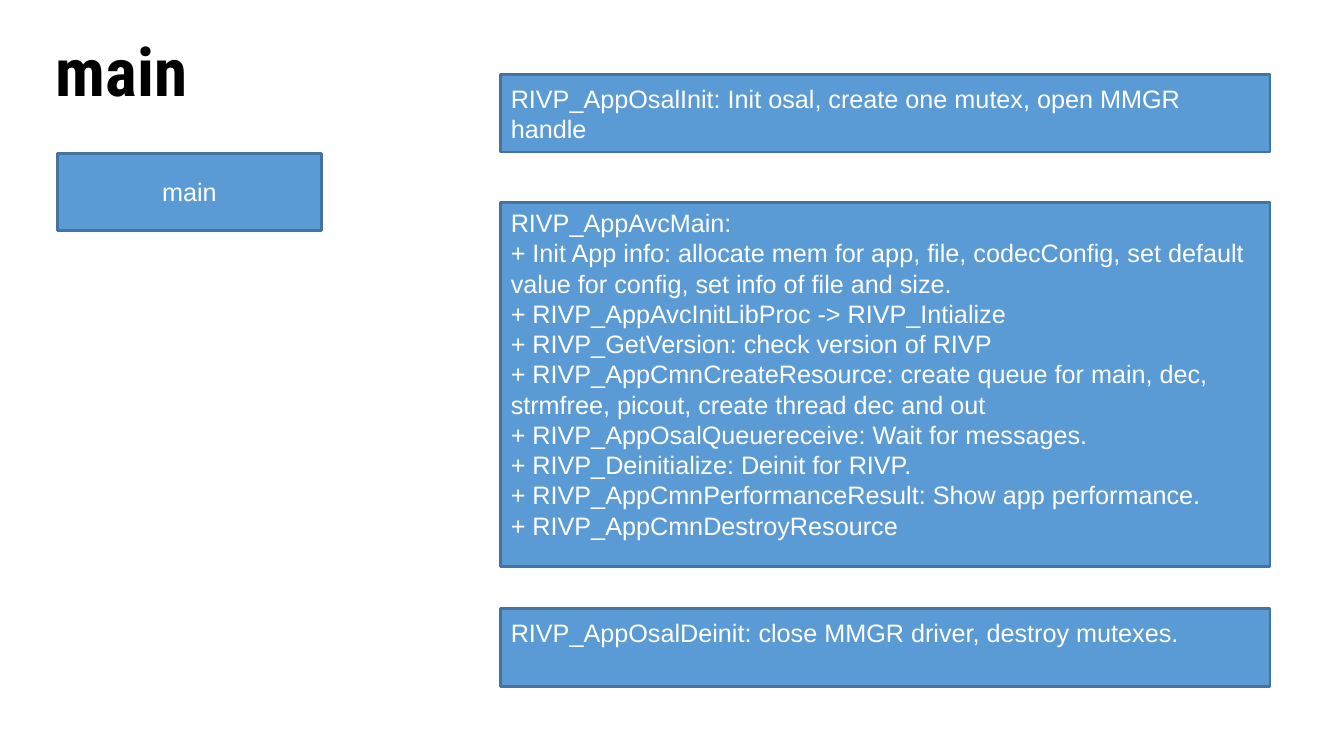
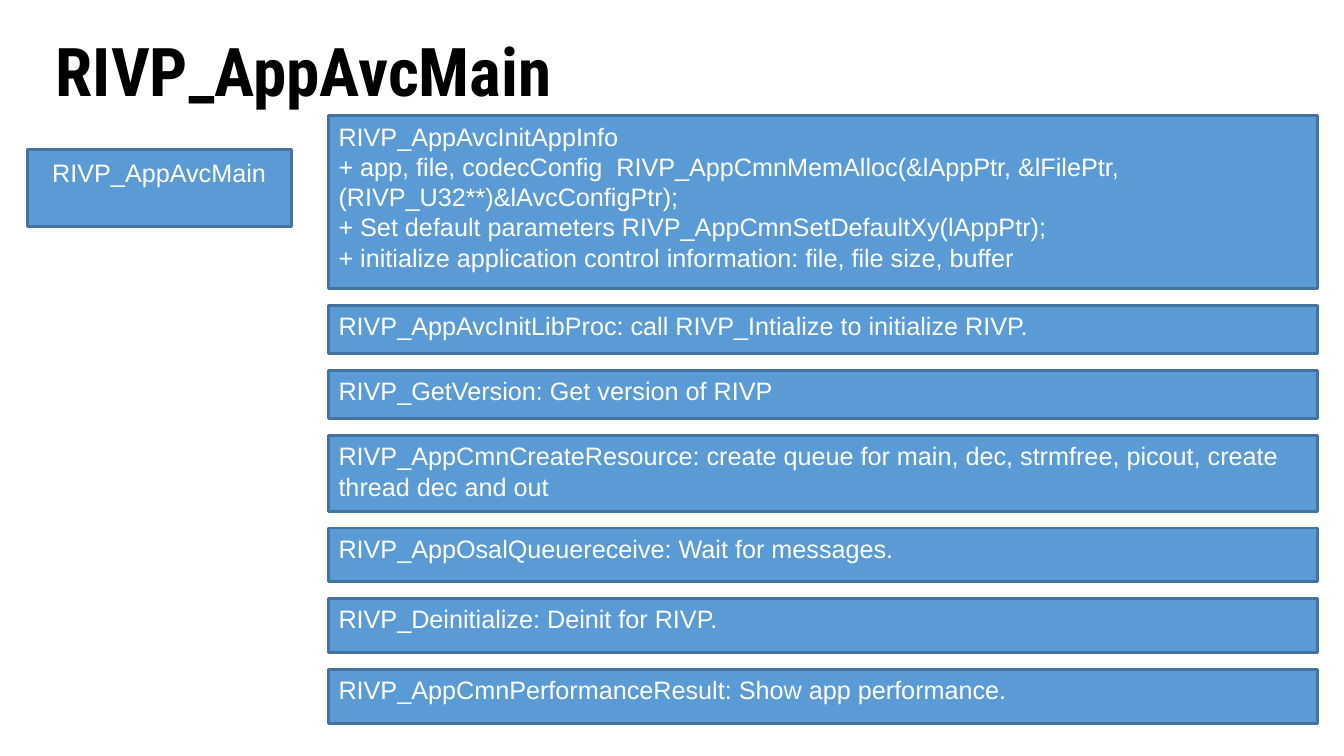
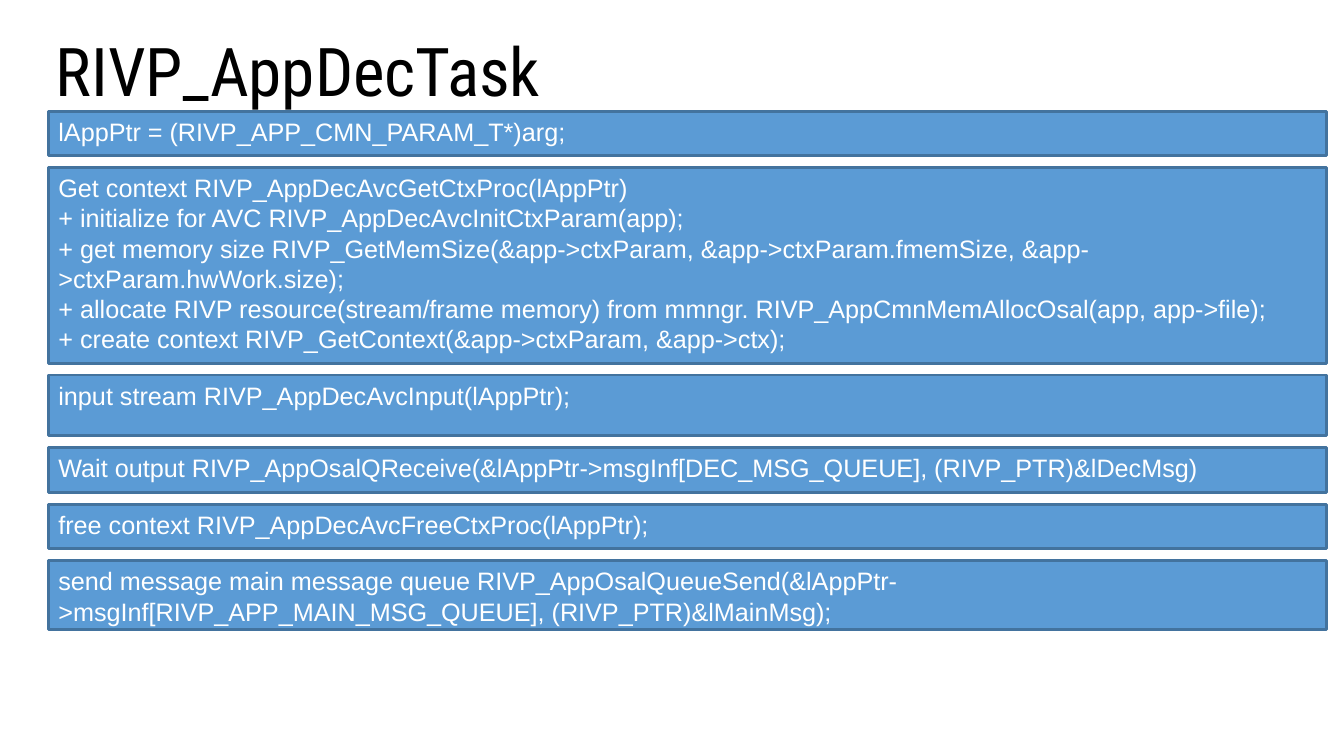
from pptx import Presentation
from pptx.dml.color import RGBColor
from pptx.enum.shapes import MSO_SHAPE
from pptx.enum.text import MSO_ANCHOR, MSO_AUTO_SIZE, PP_ALIGN
from pptx.util import Pt

BLACK = RGBColor(0x00, 0x00, 0x00)
WHITE = RGBColor(0xFF, 0xFF, 0xFF)
STEP_BLUE = RGBColor(0x5B, 0x9B, 0xD5)
EDGE_BLUE = RGBColor(0x43, 0x73, 0x9E)
TITLE_FONT = "Roboto Condensed"
STEP_FONT = "Arial"
TITLE_ONLY = 5
CALLER_WIDTH = 188.6
CALL_HEIGHT = 55.4
TWO_LINE_INSET = 6

AVC_MAIN_CALLS = [
    "RIVP_AppAvcMain:",
    "+ Init App info: allocate mem for app, file, codecConfig, set default "
    "value for config, set info of file and size.",
    "+ RIVP_AppAvcInitLibProc -> RIVP_Intialize",
    "+ RIVP_GetVersion: check version of RIVP",
    "+ RIVP_AppCmnCreateResource: create queue for main, dec, strmfree, "
    "picout, create thread dec and out",
    "+ RIVP_AppOsalQueuereceive: Wait for messages.",
    "+ RIVP_Deinitialize: Deinit for RIVP.",
    "+ RIVP_AppCmnPerformanceResult: Show app performance.",
    "+ RIVP_AppCmnDestroyResource",
]

AVC_MAIN_STEPS = [
    (123.2, [
        "RIVP_AppAvcInitAppInfo",
        "+ app, file, codecConfig  RIVP_AppCmnMemAlloc(&lAppPtr, &lFilePtr, "
        "(RIVP_U32**)&lAvcConfigPtr);",
        "+ Set default parameters RIVP_AppCmnSetDefaultXy(lAppPtr);",
        "+ initialize application control information: file, file size, buffer",
    ]),
    (34.6, ["RIVP_AppAvcInitLibProc: call RIVP_Intialize to initialize RIVP."]),
    (34.6, ["RIVP_GetVersion: Get version of RIVP"]),
    (54, ["RIVP_AppCmnCreateResource: create queue for main, dec, strmfree, "
          "picout, create thread dec and out"]),
    (38.5, ["RIVP_AppOsalQueuereceive: Wait for messages."]),
    (38.5, ["RIVP_Deinitialize: Deinit for RIVP."]),
    (38.5, ["RIVP_AppCmnPerformanceResult: Show app performance."]),
]

DEC_TASK_STEPS = [
    (31.5, ["lAppPtr = (RIVP_APP_CMN_PARAM_T*)arg;"]),
    (139.8, [
        "Get context RIVP_AppDecAvcGetCtxProc(lAppPtr)",
        "+ initialize for AVC RIVP_AppDecAvcInitCtxParam(app);",
        "+ get memory size RIVP_GetMemSize(&app->ctxParam, "
        "&app->ctxParam.fmemSize, &app->ctxParam.hwWork.size);",
        "+ allocate RIVP resource(stream/frame memory) from mmngr. "
        "RIVP_AppCmnMemAllocOsal(app, app->file);",
        "+ create context RIVP_GetContext(&app->ctxParam, &app->ctx);",
    ]),
    (43.2, ["input stream RIVP_AppDecAvcInput(lAppPtr);"]),
    (32.4, ["Wait output RIVP_AppOsalQReceive(&lAppPtr->msgInf[DEC_MSG_QUEUE], "
            "(RIVP_PTR)&lDecMsg)"]),
    (31.8, ["free context RIVP_AppDecAvcFreeCtxProc(lAppPtr);"]),
    (49, ["send message main message queue RIVP_AppOsalQueueSend(&lAppPtr->"
          "msgInf[RIVP_APP_MAIN_MSG_QUEUE], (RIVP_PTR)&lMainMsg);"]),
]


def write_text(frame, lines, font=STEP_FONT, size=18, color=WHITE, bold=False,
               align=PP_ALIGN.LEFT, anchor=MSO_ANCHOR.TOP, spacing=1.0,
               side_inset=7.2, top_inset=3.6):
    frame.word_wrap = True
    frame.auto_size = MSO_AUTO_SIZE.NONE
    frame.vertical_anchor = anchor
    frame.margin_left = frame.margin_right = Pt(side_inset)
    frame.margin_top = Pt(top_inset)
    frame.margin_bottom = Pt(3.6)
    for index, line in enumerate(lines):
        paragraph = frame.add_paragraph() if index else frame.paragraphs[0]
        paragraph.alignment = align
        paragraph.line_spacing = spacing
        run = paragraph.add_run()
        run.text = line
        run.font.name = font
        run.font.size = Pt(size)
        run.font.bold = bold
        run.font.color.rgb = color


def add_titled_slide(deck, heading, bold=True):
    slide = deck.slides.add_slide(deck.slide_layouts[TITLE_ONLY])
    title = slide.shapes.title
    title.left, title.top = Pt(34.6), Pt(20.2)
    title.width, title.height = Pt(890.6), Pt(66.2)
    write_text(title.text_frame, [heading], font=TITLE_FONT, size=48, color=BLACK,
               bold=bold, anchor=MSO_ANCHOR.MIDDLE, spacing=0.9, side_inset=5.2)
    return slide


def add_step(slide, left, top, width, height, lines, **text_format):
    step = slide.shapes.add_shape(MSO_SHAPE.RECTANGLE, Pt(left), Pt(top),
                                  Pt(width), Pt(height))
    step.shadow.inherit = False
    step.fill.solid()
    step.fill.fore_color.rgb = STEP_BLUE
    step.line.color.rgb = EDGE_BLUE
    step.line.width = Pt(2)
    write_text(step.text_frame, lines, **text_format)


def stack_steps(slide, left, top, width, gap, steps):
    for height, lines in steps:
        add_step(slide, left, top, width, height, lines)
        top += height + gap


def build_main(deck):
    slide = add_titled_slide(deck, "main")
    add_step(slide, 41, 109.4, CALLER_WIDTH, CALL_HEIGHT, ["main"],
             align=PP_ALIGN.CENTER, anchor=MSO_ANCHOR.MIDDLE)
    calls = [
        (53.3, CALL_HEIGHT, TWO_LINE_INSET,
         ["RIVP_AppOsalInit: Init osal, create one mutex, open MMGR handle"]),
        (144.7, 260, 3.6, AVC_MAIN_CALLS),
        (434.9, CALL_HEIGHT, TWO_LINE_INSET,
         ["RIVP_AppOsalDeinit: close MMGR driver, destroy mutexes."]),
    ]
    for top, height, inset, lines in calls:
        add_step(slide, 357.8, top, 549.4, height, lines, top_inset=inset)


def build_avc_main(deck):
    slide = add_titled_slide(deck, "RIVP_AppAvcMain")
    add_step(slide, 19.4, 106.6, CALLER_WIDTH, CALL_HEIGHT, ["RIVP_AppAvcMain"],
             align=PP_ALIGN.CENTER, top_inset=TWO_LINE_INSET)
    stack_steps(slide, 234.7, 82.8, 706.3, 12, AVC_MAIN_STEPS)


def build_dec_task(deck):
    slide = add_titled_slide(deck, "RIVP_AppDecTask", bold=False)
    stack_steps(slide, 34.6, 79.8, 913, 8.4, DEC_TASK_STEPS)


def main():
    deck = Presentation()
    deck.slide_width, deck.slide_height = Pt(960), Pt(540)
    build_main(deck)
    build_avc_main(deck)
    build_dec_task(deck)
    deck.save("out.pptx")


if __name__ == "__main__":
    main()
